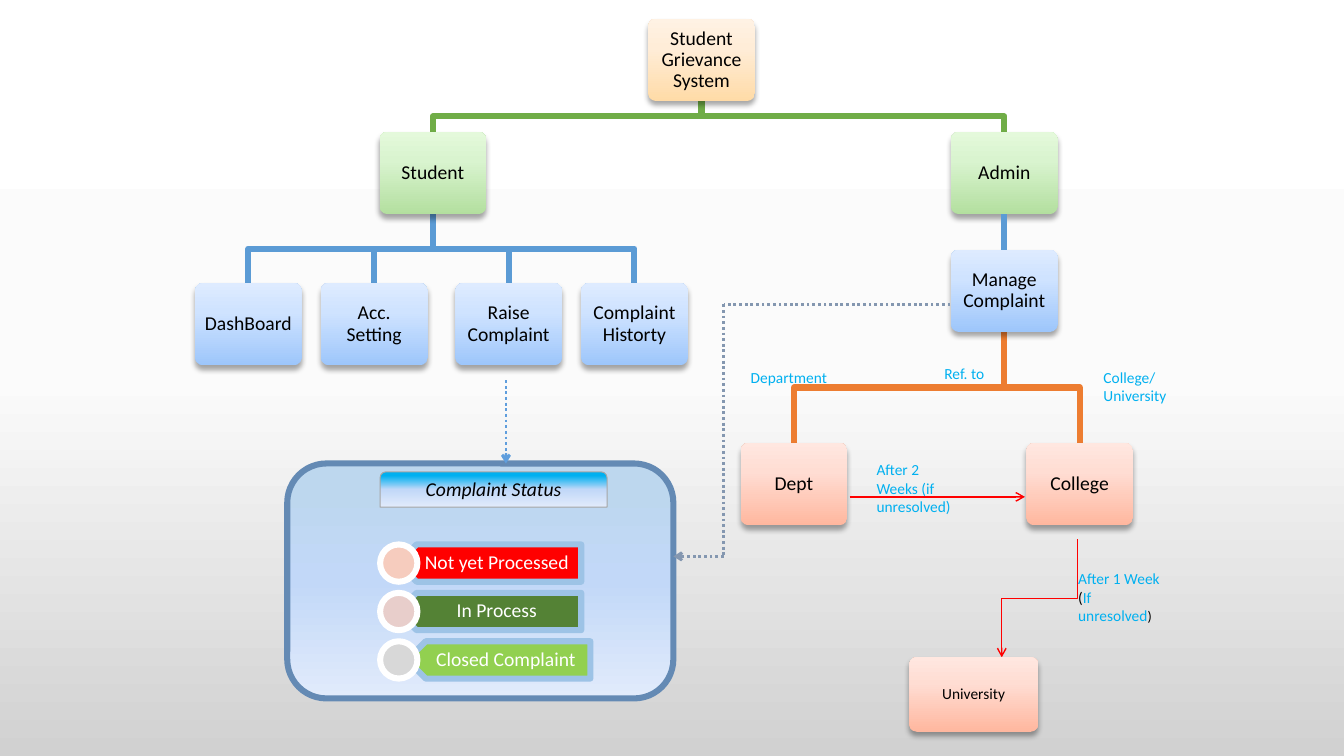
from dataclasses import dataclass
from lxml.etree import SubElement
from pptx import Presentation
from pptx.dml.color import RGBColor
from pptx.enum.dml import MSO_LINE
from pptx.enum.shapes import MSO_CONNECTOR as Link, MSO_SHAPE as Shape
from pptx.enum.text import MSO_ANCHOR as Anchor, MSO_AUTO_SIZE as AutoSize, PP_ALIGN as Align
from pptx.oxml.ns import qn
from pptx.util import Cm, Pt


@dataclass(frozen=True)
class Theme:
    font: str = "Calibri"
    node_size: float = 14
    label_size: float = 11
    small_size: float = 10
    thick: float = 4.33
    black: str = "000000"
    white: str = "FFFFFF"
    label: str = "00B0F0"
    red: str = "FF0000"
    green_link: str = "70AD47"
    blue_link: str = "5B9BD5"
    orange_link: str = "ED7D31"
    raise_arrow: str = "5F9EDD"
    manage_arrow: str = "8497B0"
    panel_line: str = "648AB4"
    header_line: str = "A6A6A6"
    status_line: str = "9DC3E6"
    backdrop: tuple = ((0, "FFFFFF"), (50, "FBFBFB"), (100, "D1D1D1"))
    orange: tuple = ((0, "FFDBA7"), (65, "FFEDD8"), (100, "FFF2E4"))
    green: tuple = ((0, "B3DF9F"), (65, "D9F4CF"), (100, "E4F9DB"))
    blue: tuple = ((0, "9DC6FB"), (65, "CFE3FF"), (100, "DEEBFF"))
    coral: tuple = ((0, "FFB79F"), (65, "FFDDD3"), (100, "FFE7E0"))
    panel: tuple = ((11, "BDD7EE"), (50, "C2D8F8"), (100, "E1EBFB"))
    header: tuple = ((11, "00B0F0"), (50, "C2D8F8"), (100, "E1EBFB"))


T = Theme()
NODE_W, NODE_H = 2.69, 2.08

NODES = {
    "Student Grievance System": (17.68, 0.47, T.orange),
    "Student": (10.91, 3.32, T.green),
    "Admin": (25.31, 3.32, T.green),
    "DashBoard": (6.26, 7.13, T.blue),
    "Acc. Setting": (9.43, 7.13, T.blue),
    "Raise Complaint": (12.82, 7.13, T.blue),
    "Complaint Historty": (15.99, 7.13, T.blue),
    "Manage Complaint": (25.31, 6.29, T.blue),
    "Dept": (20.01, 11.16, T.coral),
    "College": (27.21, 11.16, T.coral),
}

BRANCHES = [
    ("Student Grievance System", ("Student", "Admin"), T.green_link),
    ("Student", ("DashBoard", "Acc. Setting", "Raise Complaint", "Complaint Historty"), T.blue_link),
    ("Manage Complaint", ("Dept", "College"), T.orange_link),
]

LABELS = [
    (23.55, 9.04, 2.54, 0.74, [["Ref. to"]]),
    (18.67, 9.14, 2.97, 0.74, [["Department"]]),
    (27.56, 9.14, 2.11, 1.19, [["College/"], ["University"]]),
    (21.84, 11.48, 2.74, 1.68, [["After 2"], ["Weeks (if unresolved)"]]),
    (26.92, 14.22, 2.74, 1.68, [["After 1 Week"], ["(", "If unresolved", ")"]]),
]

STATUSES = [
    ("Not yet Processed", 10.03, T.red, "F6CCBE"),
    ("In Process", 10.03, "548235", "E8CECB"),
    ("Closed Complaint", 10.26, "92D050", "D8D8D8"),
]


def rgb(color):
    return RGBColor.from_string(color)


def set_gradient(fill, element, stops, angle):
    fill.gradient()
    fill.gradient_angle = angle
    gs_lst = element.find(".//" + qn("a:gsLst"))
    for old in list(gs_lst):
        gs_lst.remove(old)
    for pos, color in stops:
        gs = SubElement(gs_lst, qn("a:gs"), pos=str(pos * 1000))
        SubElement(gs, qn("a:srgbClr"), val=color)


def set_line(line, color, width):
    line.fill.solid()
    line.fill.fore_color.rgb = rgb(color)
    line.width = Pt(width)


def add_run(p, text, size, color, italic=None):
    r = p.add_run()
    r.text = text
    r.font.name = T.font
    r.font.size = Pt(size)
    r.font.color.rgb = rgb(color)
    r.font.italic = italic


def add_caption(sp, text, size, color, insets, italic=None):
    tf = sp.text_frame
    tf.word_wrap = True
    tf.vertical_anchor = Anchor.MIDDLE
    tf.margin_left, tf.margin_top, tf.margin_right, tf.margin_bottom = map(Cm, insets)
    p = tf.paragraphs[0]
    p.alignment = Align.CENTER
    p.line_spacing = 0.9
    add_run(p, text, size, color, italic)


def add_box(s, kind, x, y, w, h, fill, line=None, width=T.thick, angle=270):
    sp = s.shapes.add_shape(kind, Cm(x), Cm(y), Cm(w), Cm(h))
    sp.shadow.inherit = False
    if isinstance(fill, tuple):
        set_gradient(sp.fill, sp._element.spPr, fill, angle)
    else:
        sp.fill.solid()
        sp.fill.fore_color.rgb = rgb(fill)
    if line:
        set_line(sp.line, line, width)
    else:
        sp.line.fill.background()
    return sp


def add_node(s, text, x, y, fill, w=NODE_W, h=NODE_H, size=T.node_size):
    sp = add_box(s, Shape.ROUNDED_RECTANGLE, x - w / 2, y, w, h, fill, angle=90)
    sp.adjustments[0] = 0.1
    effects = sp._element.spPr.find(qn("a:effectLst"))
    shadow = SubElement(effects, qn("a:outerShdw"), blurRad=str(Pt(4)), dist=str(Pt(3)),
                        dir="5400000", rotWithShape="0")
    black = SubElement(shadow, qn("a:srgbClr"), val=T.black)
    SubElement(black, qn("a:alpha"), val="35000")
    add_caption(sp, text, size, T.black, (0.14, 0.15, 0.14, 0.15))
    return sp


def add_branch(s, parent, child, color):
    x1, top, _ = NODES[parent]
    x2, y2, _ = NODES[child]
    y1 = top + NODE_H
    middle = (y1 + y2) / 2
    builder = s.shapes.build_freeform(Cm(x1), Cm(y1))
    builder.add_line_segments([(Cm(x), Cm(y)) for x, y in ((x1, middle), (x2, middle), (x2, y2))], close=False)
    sp = builder.convert_to_shape()
    sp.shadow.inherit = False
    sp.fill.background()
    set_line(sp.line, color, T.thick)
    SubElement(sp.line._get_or_add_ln(), qn("a:round"))


def add_link(s, start, end, color, width, kind=Link.STRAIGHT, dotted=False, arrow=False):
    link = s.shapes.add_connector(kind, *map(Cm, start + end))
    set_line(link.line, color, width)
    if dotted:
        link.line.dash_style = MSO_LINE.ROUND_DOT
    if arrow:
        SubElement(link.line._get_or_add_ln(), qn("a:tailEnd"), type="arrow")
    SubElement(link._element.spPr, qn("a:effectLst"))
    return link


def add_label(s, x, y, w, h, paragraphs):
    tf = s.shapes.add_textbox(Cm(x), Cm(y), Cm(w), Cm(h)).text_frame
    tf.word_wrap = True
    tf.auto_size = AutoSize.SHAPE_TO_FIT_TEXT
    for i, runs in enumerate(paragraphs):
        p = tf.add_paragraph() if i else tf.paragraphs[0]
        for text in runs:
            size = T.small_size if text == ")" else T.label_size
            add_run(p, text, size, T.black if text in "()" else T.label)


def add_status(s, y, text, x, fill, dot):
    plate = add_box(s, Shape.PENTAGON, x, y, 4.62, 0.94, fill, T.status_line)
    plate._element.spPr.find(qn("a:xfrm")).set("flipH", "1")
    add_caption(plate, text, T.node_size, T.white, (0.36, 0.15, 0.23, 0.15))
    add_box(s, Shape.OVAL, 9.58, y, 0.94, 0.94, dot, T.white)


def add_tree(s):
    for parent, children, color in BRANCHES:
        for child in children:
            add_branch(s, parent, child, color)
    nodes = {text: add_node(s, text, *place) for text, place in NODES.items()}
    link = add_link(s, (25.31, 5.4), (25.31, 6.29), T.blue_link, T.thick)
    link.begin_connect(nodes["Admin"], 2)
    link.end_connect(nodes["Manage Complaint"], 0)


def add_escalation(s):
    add_link(s, (21.41, 12.52), (25.83, 12.52), T.red, 1, arrow=True)
    elbow = add_link(s, (24.71, 14.12), (27.69, 16.03), T.red, 1, Link.ELBOW, arrow=True)
    elbow._element.spPr.find(qn("a:xfrm")).set("rot", "5400000")
    for label in LABELS:
        add_label(s, *label)
    add_node(s, "University", 24.54, 16.56, T.coral, 3.25, 1.88, T.label_size)


def add_status_panel(s):
    add_box(s, Shape.FLOWCHART_ALTERNATE_PROCESS, 7.24, 11.68, 9.73, 5.92, T.panel, T.panel_line)
    header = add_box(s, Shape.ROUND_2_SAME_RECTANGLE, 9.58, 11.89, 5.72, 0.89, T.header, T.header_line, 0.75)
    add_caption(header, "Complaint Status", T.node_size, T.black, (0.25, 0.13, 0.25, 0.13), True)
    for i, status in enumerate(STATUSES):
        add_status(s, 13.72 + 1.22 * i, *status)
    add_link(s, (12.75, 9.58), (12.75, 11.68), T.raise_arrow, 2, dotted=True, arrow=True)
    route = [(23.95, 7.67), (18.24, 7.67), (18.24, 14.02), (16.97, 14.02)]
    for start, end in zip(route, route[1:]):
        add_link(s, start, end, T.manage_arrow, 2, dotted=True, arrow=end == route[-1])


def main():
    prs = Presentation()
    prs.slide_width, prs.slide_height = Cm(33.87), Cm(19.05)
    s = prs.slides.add_slide(prs.slide_layouts[6])
    set_gradient(s.background.fill, s._element, T.backdrop, 270)
    add_tree(s)
    add_escalation(s)
    add_status_panel(s)
    prs.save("out.pptx")


if __name__ == "__main__":
    main()
